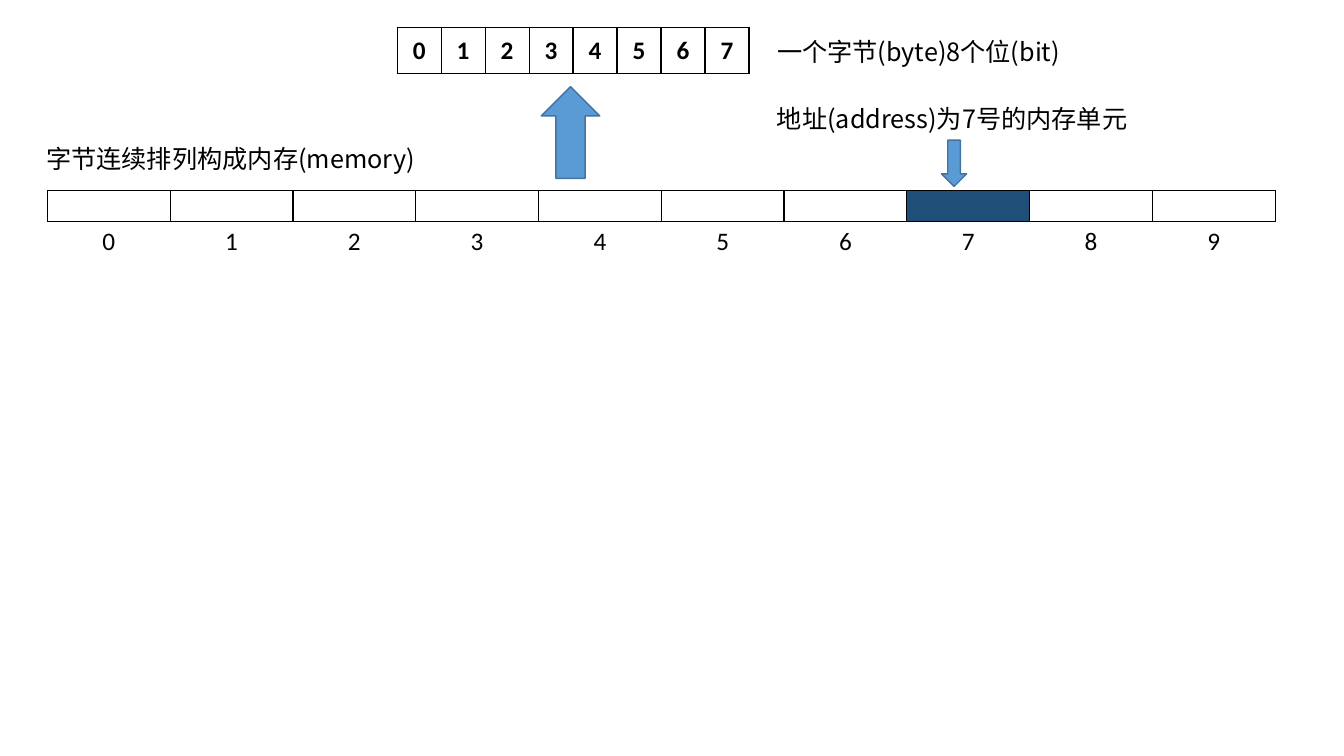
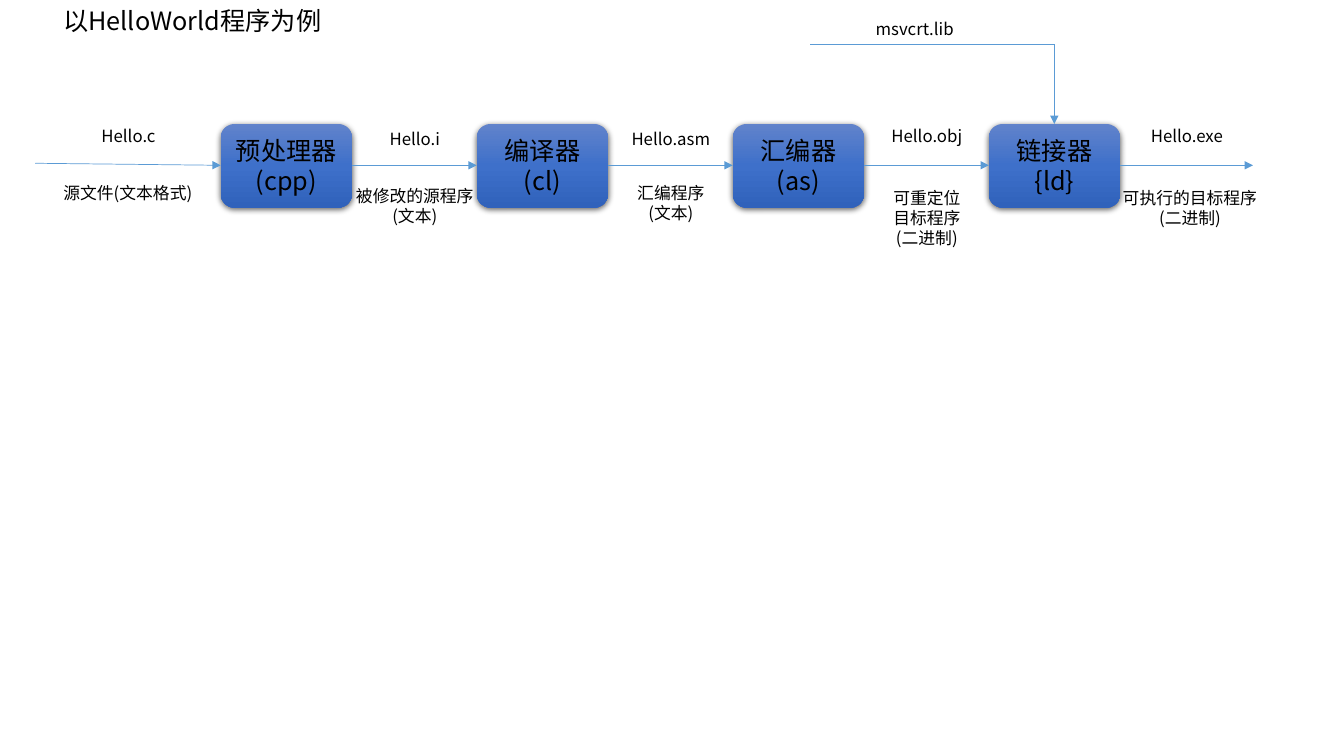
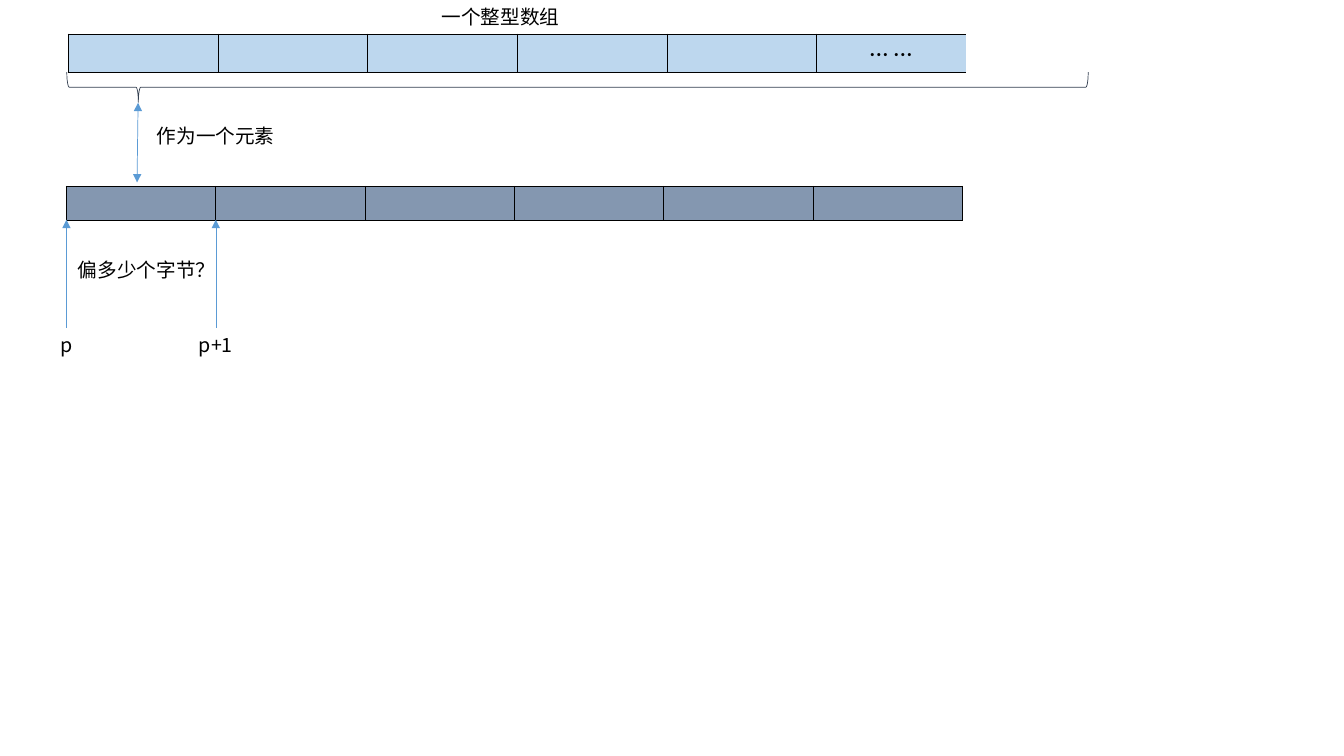
from lxml import etree
from pptx import Presentation
from pptx.dml.color import RGBColor
from pptx.enum.shapes import MSO_CONNECTOR, MSO_SHAPE
from pptx.enum.text import MSO_ANCHOR, MSO_AUTO_SIZE, PP_ALIGN
from pptx.oxml.ns import qn
from pptx.util import Inches, Pt

# Shared style
BLACK = RGBColor(0x00, 0x00, 0x00)
BLUE = RGBColor(0x5B, 0x9B, 0xD5)
ARROW_EDGE = RGBColor(0x43, 0x73, 0x9E)
HIGHLIGHT = RGBColor(0x1F, 0x4E, 0x79)
ARRAY_FILL = RGBColor(0xBD, 0xD7, 0xEE)
ELEMENT_FILL = RGBColor(0x84, 0x97, 0xB0)
BRACE = RGBColor(0x33, 0x3F, 0x50)
BOX_GRADIENT = (
    (0, RGBColor(0x61, 0x83, 0xCB)),
    (50, RGBColor(0x3E, 0x70, 0xCA)),
    (100, RGBColor(0x30, 0x62, 0xBB)),
)
TEXT_FONT = "Noto Sans CJK SC"
NUMBER_FONT = "Calibri"
LARGE, MEDIUM, SMALL = 18, 14, 12

LEFT, CENTER = PP_ALIGN.LEFT, PP_ALIGN.CENTER
MIDDLE = MSO_ANCHOR.MIDDLE
GROW = MSO_AUTO_SIZE.SHAPE_TO_FIT_TEXT
STRAIGHT = MSO_CONNECTOR.STRAIGHT
ROUNDED = MSO_SHAPE.ROUNDED_RECTANGLE
UP_ARROW, DOWN_ARROW = MSO_SHAPE.UP_ARROW, MSO_SHAPE.DOWN_ARROW
LEFT_BRACE = MSO_SHAPE.LEFT_BRACE

GRID_COLUMNS, GRID_ROWS = 80, 45
BLANK_LAYOUT = 6


def add_xml(parent, tag, **attributes):
    return etree.SubElement(parent, qn(tag), attributes)


class Deck:
    """Draws on the current slide; positions are grid columns and rows."""

    def __init__(self):
        self.presentation = Presentation()
        self.presentation.slide_width = Inches(13.33)
        self.presentation.slide_height = Inches(7.5)
        self.slide = None

    def new_slide(self):
        layout = self.presentation.slide_layouts[BLANK_LAYOUT]
        self.slide = self.presentation.slides.add_slide(layout)

    def x(self, columns):
        return round(self.presentation.slide_width * columns / GRID_COLUMNS)

    def y(self, rows):
        return round(self.presentation.slide_height * rows / GRID_ROWS)

    def area(self, left, top, width, height):
        return self.x(left), self.y(top), self.x(width), self.y(height)

    def fill_text(self, frame, text, size, align, font=TEXT_FONT, bold=False):
        for index, line in enumerate(text.split("\n")):
            paragraph = frame.paragraphs[0] if index == 0 else frame.add_paragraph()
            paragraph.alignment = align
            run = paragraph.add_run()
            run.text = line
            run.font.name = font
            run.font.size = Pt(size)
            run.font.bold = bold
            run.font.color.rgb = BLACK
            add_xml(run.font._element, "a:ea", typeface=font)

    def text(self, left, top, width, text, size=LARGE, align=LEFT):
        height = (text.count("\n") + 1) * size * 0.1 + 0.6
        box = self.slide.shapes.add_textbox(*self.area(left, top, width, height))
        box.text_frame.word_wrap = True
        box.text_frame.auto_size = GROW
        self.fill_text(box.text_frame, text, size, align)

    def shape(self, kind, area, fill=None, line=None, line_width=1):
        shape = self.slide.shapes.add_shape(kind, *self.area(*area))
        shape.shadow.inherit = False
        if fill is None:
            shape.fill.background()
        else:
            shape.fill.solid()
            shape.fill.fore_color.rgb = fill
        if line is None:
            shape.line.fill.background()
        else:
            shape.line.color.rgb = line
            shape.line.width = Pt(line_width)
        return shape

    def gradient_box(self, area, text):
        box = self.shape(ROUNDED, area)
        box.fill.gradient()
        box.fill.gradient_angle = 270
        properties = box._element.spPr
        stops = properties.find(".//" + qn("a:gsLst"))
        stops.clear()
        for position, color in BOX_GRADIENT:
            stop = add_xml(stops, "a:gs", pos=str(position * 1000))
            add_xml(stop, "a:srgbClr", val=str(color))
        shadow = add_xml(properties.find(qn("a:effectLst")), "a:outerShdw",
                         blurRad=str(Pt(4.5)), dist=str(Pt(1.5)),
                         dir="5400000", algn="ctr", rotWithShape="0")
        shadow_color = add_xml(shadow, "a:srgbClr", val=str(BLACK))
        add_xml(shadow_color, "a:alpha", val="63000")
        box.text_frame.vertical_anchor = MIDDLE
        self.fill_text(box.text_frame, text, LARGE, CENTER)

    def line(self, start, end, head=False, tail=True):
        connector = self.slide.shapes.add_connector(
            STRAIGHT, self.x(start[0]), self.y(start[1]), self.x(end[0]), self.y(end[1]))
        connector.line.color.rgb = BLUE
        connector.line.width = Pt(0.5)
        outline = connector.line._ln
        if head:
            add_xml(outline, "a:headEnd", type="triangle")
        if tail:
            add_xml(outline, "a:tailEnd", type="triangle")
        add_xml(connector._element.spPr, "a:effectLst")

    def table(self, left, top, column_count, column_width, row_heights):
        frame = self.slide.shapes.add_table(
            len(row_heights), column_count,
            *self.area(left, top, column_count * column_width, sum(row_heights)))
        table = frame.table
        table.first_row = table.horz_banding = False
        for column in table.columns:
            column.width = self.x(column_width)
        for row, height in zip(table.rows, row_heights):
            row.height = self.y(height)
        return table

    def cell(self, cell, fill=None, borders="LRTB"):
        cell.margin_top = cell.margin_bottom = 0
        cell.vertical_anchor = MIDDLE
        properties = cell._tc.get_or_add_tcPr()
        for side in "LRTB":
            border = add_xml(properties, "a:ln" + side, w=str(Pt(1)))
            if side in borders:
                color = add_xml(border, "a:solidFill")
                add_xml(color, "a:srgbClr", val=str(BLACK))
            else:
                add_xml(border, "a:noFill")
        if fill is None:
            cell.fill.background()
        else:
            cell.fill.solid()
            cell.fill.fore_color.rgb = fill


deck = Deck()

# Slide 1: bits, bytes and memory
deck.new_slide()
byte_table = deck.table(23.64, 1.62, 8, 2.62, [2.76])
for bit in range(8):
    bit_cell = byte_table.cell(0, bit)
    deck.cell(bit_cell)
    deck.fill_text(bit_cell.text_frame, str(bit), LARGE, CENTER, NUMBER_FONT, bold=True)

MARKED_ADDRESS = 7
memory_table = deck.table(2.82, 11.34, 10, 7.31, [1.83, 2.4])
for address in range(10):
    deck.cell(memory_table.cell(0, address),
              HIGHLIGHT if address == MARKED_ADDRESS else None)
    address_cell = memory_table.cell(1, address)
    deck.cell(address_cell, borders="T")
    deck.fill_text(address_cell.text_frame, str(address), LARGE, CENTER, NUMBER_FONT)

deck.shape(UP_ARROW, (32.22, 5.16, 3.48, 5.46), BLUE, ARROW_EDGE)
deck.shape(DOWN_ARROW, (56.04, 8.34, 1.5, 2.76), BLUE, ARROW_EDGE)
deck.text(45.66, 1.86, 19.5, "一个字节(byte)8个位(bit)")
deck.text(2.16, 8.22, 28, "字节连续排列构成内存(memory)")
deck.text(45.66, 5.88, 29.46, "地址(address)为7号的内存单元")

# Slide 2: build steps of a program
deck.new_slide()
deck.text(3.18, 0, 23.94, "以HelloWorld程序为例")
STEPS = ("预处理器\n(cpp)", "编译器\n(cl)", "汇编器\n(as)", "链接器\n{ld}")
BOX_LEFT, BOX_TOP, BOX_WIDTH, BOX_HEIGHT = 13.14, 7.38, 7.82, 4.98
STEP_PITCH, FLOW_Y = 15.24, 9.84
FLOW_END = 74.58
box_lefts = [BOX_LEFT + STEP_PITCH * index for index in range(len(STEPS))]
for box_left, step in zip(box_lefts, STEPS):
    deck.gradient_box((box_left, BOX_TOP, BOX_WIDTH, BOX_HEIGHT), step)

deck.line((2.1, 9.72), (BOX_LEFT, FLOW_Y))
for box_left, target in zip(box_lefts, box_lefts[1:] + [FLOW_END]):
    deck.line((box_left + BOX_WIDTH, FLOW_Y), (target, FLOW_Y))

# File names above the flow, descriptions below
LABEL_WIDTH = 8.94
FILES = (
    (3.18, 7.2, "Hello.c"),
    (20.22, 7.38, "Hello.i"),
    (35.46, 7.38, "Hello.asm"),
    (50.7, 7.2, "Hello.obj"),
    (66.18, 7.2, "Hello.exe"),
    (49.98, 0.84, "msvcrt.lib"),
)
for left, top, name in FILES:
    deck.text(left, top, LABEL_WIDTH, name, SMALL, CENTER)
DESCRIPTIONS = (
    (3.18, 10.56, LABEL_WIDTH, "源文件(文本格式)", LEFT),
    (20.22, 10.74, LABEL_WIDTH, "被修改的源程序\n(文本)", CENTER),
    (35.46, 10.56, LABEL_WIDTH, "汇编程序\n(文本)", CENTER),
    (50.7, 10.86, LABEL_WIDTH, "可重定位\n目标程序\n(二进制)", CENTER),
    (65.94, 10.86, 9.78, "可执行的目标程序\n(二进制)", CENTER),
)
for left, top, width, description, align in DESCRIPTIONS:
    deck.text(left, top, width, description, SMALL, align)

# Library input to the linker
LIBRARY_CORNER = (62.76, 2.64)
deck.line((48.24, 2.64), LIBRARY_CORNER, tail=False)
deck.line(LIBRARY_CORNER, (62.76, BOX_TOP))

# Slide 3: array elements and pointer offset
deck.new_slide()
ELEMENT_COUNT = 6
deck.text(15.36, 0, 28.86, "一个整型数组", MEDIUM, CENTER)
array_table = deck.table(4.08, 2.04, ELEMENT_COUNT, 8.91, [2.28])
ELEMENT_LEFT, ELEMENT_WIDTH = 3.96, 8.89
element_table = deck.table(ELEMENT_LEFT, 11.1, ELEMENT_COUNT, ELEMENT_WIDTH, [2.04])
for index in range(ELEMENT_COUNT):
    is_last = index == ELEMENT_COUNT - 1
    deck.cell(array_table.cell(0, index), ARRAY_FILL, "LTB" if is_last else "LRTB")
    deck.cell(element_table.cell(0, index), ELEMENT_FILL)
deck.fill_text(array_table.cell(0, ELEMENT_COUNT - 1).text_frame,
               "… …", MEDIUM, CENTER, bold=True)

brace = deck.shape(LEFT_BRACE, (33.48, -25.2, 1.8, 60.78), line=BRACE, line_width=0.5)
brace.rotation = 270
brace.adjustments[0] = 0.08
brace.adjustments[1] = 0.07
deck.line((8.22, 6.12), (8.16, 10.86), head=True)
deck.text(7.44, 7.08, 10.8, "作为一个元素", MEDIUM, CENTER)

for index, pointer in enumerate(("p", "p+1")):
    pointer_x = ELEMENT_LEFT + ELEMENT_WIDTH * index
    deck.line((pointer_x, 19.5), (pointer_x, 13.08))
    deck.text(pointer_x - 3.96, 19.5, 7.92, pointer, MEDIUM, CENTER)
deck.text(3.96, 15.06, 9.54, "偏多少个字节？", MEDIUM, CENTER)

deck.presentation.save("out.pptx")
